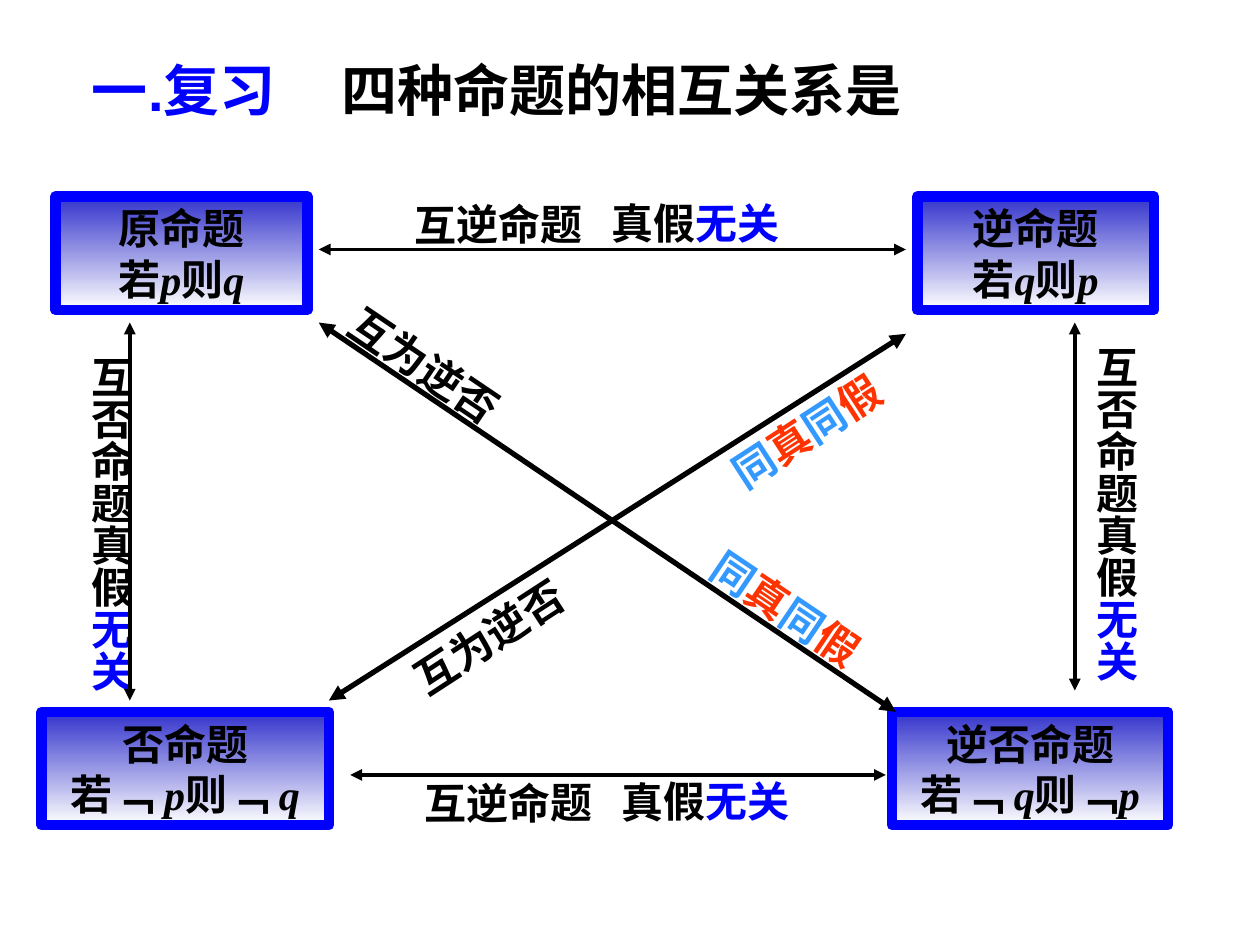
from lxml import etree
from pptx import Presentation
from pptx.dml.color import RGBColor
from pptx.enum.shapes import MSO_CONNECTOR, MSO_SHAPE
from pptx.enum.text import MSO_ANCHOR, MSO_AUTO_SIZE, PP_ALIGN
from pptx.oxml.ns import qn
from pptx.util import Inches, Pt

STRAIGHT = MSO_CONNECTOR.STRAIGHT
RECTANGLE = MSO_SHAPE.RECTANGLE
TOP, MIDDLE = MSO_ANCHOR.TOP, MSO_ANCHOR.MIDDLE
LEFT, CENTER = PP_ALIGN.LEFT, PP_ALIGN.CENTER
NO_FIT = MSO_AUTO_SIZE.NONE

BLACK = RGBColor(0x00, 0x00, 0x00)
WHITE = RGBColor(0xFF, 0xFF, 0xFF)
BLUE = RGBColor(0x00, 0x00, 0xFF)
INDIGO = RGBColor(0x33, 0x33, 0xCC)
SKY = RGBColor(0x33, 0x99, 0xFF)
RED = RGBColor(0xFF, 0x33, 0x00)

VARIABLES = ("p", "q")
SAME_TRUTH = [("同", SKY), ("真", RED), ("同", SKY), ("假", RED)]
CONTRAPOSITIVE = [("互为逆否", BLACK)]
CONVERSE = [("互逆命题\t真假", BLACK), ("无关", BLUE)]
INVERSE = [("互否命题真假", BLACK), ("无关", BLUE)]

PROPOSITIONS = [
    ((0.44, 1.56, 2, 0.9), "原命题", ("若", "p", "则", "q")),
    ((7.28, 1.56, 1.88, 0.9), "逆命题", ("若", "q", "则", "p")),
    ((0.33, 5.65, 2.28, 0.9), "否命题", ("若﹁ ", "p", "则﹁ ", "q")),
    ((7.08, 5.65, 2.19, 0.9), "逆否命题", ("若﹁ ", "q", "则﹁", "p")),
]
DIAGONAL_LABELS = [
    ((3.88, 5.05), 327, CONTRAPOSITIVE),
    ((6.40, 3.42), 327, SAME_TRUTH),
    ((3.37, 2.90), 34, CONTRAPOSITIVE),
    ((6.24, 4.83), 34, SAME_TRUTH),
]
ARROWS = [
    ((2.53, 1.98), (7.19, 1.98), 2.25),
    ((2.78, 6.15), (7.03, 6.15), 2.25),
    ((1.03, 2.56), (1.03, 5.56), 2.25),
    ((8.53, 2.56), (8.53, 5.48), 2.25),
    ((2.61, 5.56), (7.19, 2.65), 3),
    ((2.53, 2.56), (7.11, 5.65), 3),
]


def add_runs(paragraph, pieces, size=24, font="Times New Roman"):
    """Append bold coloured runs, with variables in italics."""
    for text, color in pieces:
        run = paragraph.add_run()
        run.text = text
        run.font.size = Pt(size)
        run.font.name = font
        run.font.bold = True
        run.font.italic = text in VARIABLES
        run.font.color.rgb = color


def add_tab_stop(paragraph, position):
    """Give a paragraph one left tab stop."""
    tabs = etree.SubElement(paragraph._p.get_or_add_pPr(), qn("a:tabLst"))
    etree.SubElement(tabs, qn("a:tab"), pos=str(Inches(position)), algn="l")


def add_title(slide, box):
    """Place and format the slide title."""
    title = slide.shapes.title
    title.left, title.top, title.width, title.height = map(Inches, box)
    frame = title.text_frame
    frame.auto_size = NO_FIT
    frame.vertical_anchor = TOP
    paragraph = frame.paragraphs[0]
    paragraph.alignment = LEFT
    add_tab_stop(paragraph, 1.98)
    add_runs(paragraph, [("一.复习\t", BLUE), ("四种命题的相互关系是", BLACK)], 32, "Arial")


def add_proposition(slide, box, name, statement):
    """Draw a gradient box with a proposition's name and statement."""
    shape = slide.shapes.add_shape(RECTANGLE, *map(Inches, box))
    shape.shadow.inherit = False
    shape.fill.gradient()
    shape.fill.gradient_angle = 270
    for stop, color in zip(shape.fill.gradient_stops, (INDIGO, WHITE)):
        stop.color.rgb = color
    shape.line.color.rgb = BLUE
    shape.line.width = Pt(6)
    frame = shape.text_frame
    frame.word_wrap = False
    frame.vertical_anchor = TOP
    for paragraph, texts in ((frame.paragraphs[0], (name,)), (frame.add_paragraph(), statement)):
        paragraph.alignment = CENTER
        add_runs(paragraph, [(text, BLACK) for text in texts])


def add_diagonal_label(slide, center, rotation, pieces):
    """Place a rotated label around its centre."""
    width, height = 1.6, 0.5
    x, y = center
    label = slide.shapes.add_textbox(
        Inches(x - width / 2), Inches(y - height / 2), Inches(width), Inches(height))
    label.rotation = rotation
    frame = label.text_frame
    frame.word_wrap = False
    frame.vertical_anchor = MIDDLE
    frame.paragraphs[0].alignment = CENTER
    add_runs(frame.paragraphs[0], pieces)


def add_horizontal_label(slide, box):
    """Place a converse label, its two parts set apart by a tab."""
    label = slide.shapes.add_textbox(*map(Inches, box))
    label.rotation = 359.6
    frame = label.text_frame
    frame.word_wrap = True
    frame.vertical_anchor = MIDDLE
    frame.margin_left = frame.margin_right = 0
    add_tab_stop(frame.paragraphs[0], 1.56)
    add_runs(frame.paragraphs[0], CONVERSE)


def add_vertical_label(slide, box):
    """Place an inverse label written from top to bottom."""
    label = slide.shapes.add_textbox(*map(Inches, box))
    frame = label.text_frame
    frame.word_wrap = True
    frame.margin_left = frame.margin_right = Inches(0.05)
    frame.margin_top = frame.margin_bottom = Inches(0.1)
    frame._txBody.bodyPr.set("vert", "eaVert")
    add_runs(frame.paragraphs[0], INVERSE)


def add_arrow(slide, start, end, width):
    """Draw a black line with an arrowhead at both ends."""
    arrow = slide.shapes.add_connector(STRAIGHT, *map(Inches, start + end))
    arrow.line.color.rgb = BLACK
    arrow.line.width = Pt(width)
    line = arrow.line._get_or_add_ln()
    for end_tag in ("a:headEnd", "a:tailEnd"):
        etree.SubElement(line, qn(end_tag), type="triangle")
    etree.SubElement(arrow._element.spPr, qn("a:effectLst"))


def main():
    """Build and save the slide."""
    presentation = Presentation()
    presentation.slide_width = Inches(10)
    presentation.slide_height = Inches(7.5)
    slide = presentation.slides.add_slide(presentation.slide_layouts[5])
    add_title(slide, (0.63, 0.39, 6.72, 0.64))
    for proposition in PROPOSITIONS:
        add_proposition(slide, *proposition)
    for label in DIAGONAL_LABELS:
        add_diagonal_label(slide, *label)
    for left, top in ((3.29, 1.56), (3.37, 6.15)):
        add_horizontal_label(slide, (left, top, 2.95, 0.42))
    for left, top in ((0.53, 2.73), (8.51, 2.65)):
        add_vertical_label(slide, (left, top, 0.6, 2.92))
    for arrow in ARROWS:
        add_arrow(slide, *arrow)
    presentation.save("out.pptx")


if __name__ == "__main__":
    main()
